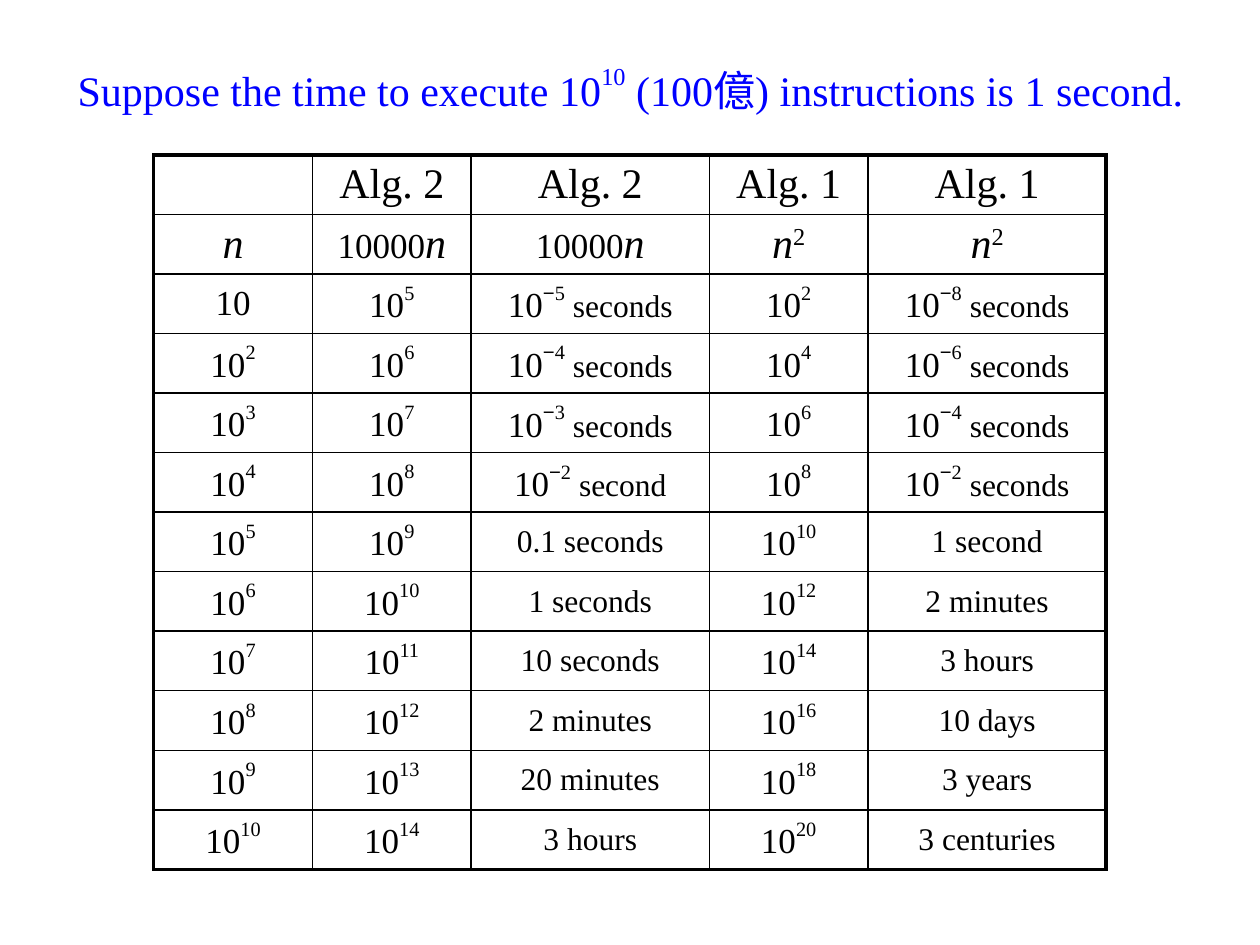
from lxml import etree
from pptx import Presentation
from pptx import util as u
from pptx.dml.color import RGBColor
from pptx.enum import text
from pptx.oxml.ns import qn

COLORS = {"title": "0000FF", "ink": "000000"}
SERIF = "Times New Roman"
COLUMN_WIDTHS = [1.26, 1.26, 1.89, 1.26, 1.89]
LINEAR_TIMES = ["10^\u22125 seconds", "10^\u22124 seconds", "10^\u22123 seconds", "10^\u22122 second",
                "0.1 seconds", "1 seconds", "10 seconds", "2 minutes", "20 minutes", "3 hours"]
QUADRATIC_TIMES = ["10^\u22128 seconds", "10^\u22126 seconds", "10^\u22124 seconds", "10^\u22122 seconds",
                   "1 second", "2 minutes", "3 hours", "10 days", "3 years", "3 centuries"]


def add_run(paragraph, words, size, color="ink", font=SERIF, italic=False, raised=0):
    """Append one formatted run, raised by a percentage of its size."""
    run = paragraph.add_run()
    run.text = words
    run.font.size = u.Pt(size)
    run.font.name = font
    run.font.italic = italic
    run.font.color.rgb = RGBColor.from_string(COLORS[color])
    if raised:
        run._r.get_or_add_rPr().set("baseline", str(raised * 1000))


def add_quantity(paragraph, quantity):
    """Write a power such as 10^5, optionally with a unit, or a plain duration."""
    if "^" not in quantity:
        add_run(paragraph, quantity, 18 if " " in quantity else 20)
        return
    base, rest = quantity.split("^")
    exponent, space, unit = rest.partition(" ")
    add_run(paragraph, base, 20)
    if exponent.startswith("\u2212"):
        add_run(paragraph, "\u2212", 20, font="Arial", raised=50)
        exponent = exponent[1:]
    add_run(paragraph, exponent, 20, raised=50)
    if unit:
        add_run(paragraph, space + unit, 18)


def add_formula(paragraph, formula):
    """Write a cost formula with an italic n."""
    factor, power = formula.split("n")
    if factor:
        add_run(paragraph, factor, 20)
    add_run(paragraph, "n", 24, italic=True)
    if power:
        add_run(paragraph, power, 24, raised=30)


def set_borders(cell, widths):
    """Draw the four cell borders with the given widths in points."""
    properties = cell._tc.get_or_add_tcPr()
    for position, side in enumerate(("lnL", "lnR", "lnT", "lnB")):
        line = etree.Element(qn("a:" + side), w=str(u.Pt(widths[position])))
        fill = etree.SubElement(line, qn("a:solidFill"))
        etree.SubElement(fill, qn("a:srgbClr"), val=COLORS["ink"])
        properties.insert(position, line)


def add_title(slide, left, top, width, height):
    """Place the one-line statement above the table."""
    box = slide.shapes.add_textbox(u.Inches(left), u.Inches(top), u.Inches(width), u.Inches(height))
    frame = box.text_frame
    frame.word_wrap = True
    frame.margin_right = u.Inches(0.08)
    paragraph = frame.paragraphs[0]
    paragraph.alignment = text.PP_ALIGN.CENTER
    paragraph.space_before = u.Pt(4.8)
    properties = paragraph._p.get_or_add_pPr()
    properties.set("marL", str(u.Inches(0.38)))
    properties.set("indent", str(u.Inches(-0.38)))
    add_run(paragraph, "Suppose the time to execute 10", 24, "title")
    add_run(paragraph, "10", 24, "title", raised=50)
    add_run(paragraph, " (100\u5104) instructions is 1 second.", 24, "title")


def add_growth_table(slide, left, top, width, height):
    """Place the table of instruction counts and running times."""
    rows = [["", "Alg. 2", "Alg. 2", "Alg. 1", "Alg. 1"],
            ["n", "10000n", "10000n", "n2", "n2"]]
    for power, times in enumerate(zip(LINEAR_TIMES, QUADRATIC_TIMES), start=1):
        size = "10" if power == 1 else f"10^{power}"
        rows.append([size, f"10^{power + 4}", times[0], f"10^{2 * power}", times[1]])
    last_row, last_column = len(rows) - 1, len(COLUMN_WIDTHS) - 1
    table = slide.shapes.add_table(len(rows), len(COLUMN_WIDTHS), u.Inches(left), u.Inches(top),
                                   u.Inches(width), u.Inches(height)).table
    table.first_row = table.horz_banding = False
    for column, share in zip(table.columns, COLUMN_WIDTHS):
        column.width = u.Inches(width * share / sum(COLUMN_WIDTHS))
    for r, row in enumerate(rows):
        table.rows[r].height = u.Inches(height / len(rows))
        for c, content in enumerate(row):
            cell = table.cell(r, c)
            cell.fill.background()
            cell.vertical_anchor = text.MSO_ANCHOR.MIDDLE
            cell.margin_top = cell.margin_bottom = u.Inches(0.02 if r < 2 else 0.05)
            edges = (c == 0, c == last_column, r == 0, r == last_row)
            set_borders(cell, [2.25 if outer else 1 for outer in edges])
            paragraph = cell.text_frame.paragraphs[0]
            paragraph.alignment = text.PP_ALIGN.CENTER
            if r == 1:
                add_formula(paragraph, content)
            elif r > 1:
                add_quantity(paragraph, content)
            elif content:
                add_run(paragraph, content, 24)


def main():
    """Build and save the slide."""
    presentation = Presentation()
    presentation.slide_width = u.Inches(10)
    presentation.slide_height = u.Inches(7.5)
    slide = presentation.slides.add_slide(presentation.slide_layouts[6])
    add_growth_table(slide, 1.22, 1.23, 7.56, 5.67)
    add_title(slide, 0.43, 0.44, 9.13, 0.47)
    presentation.save("out.pptx")


main()
